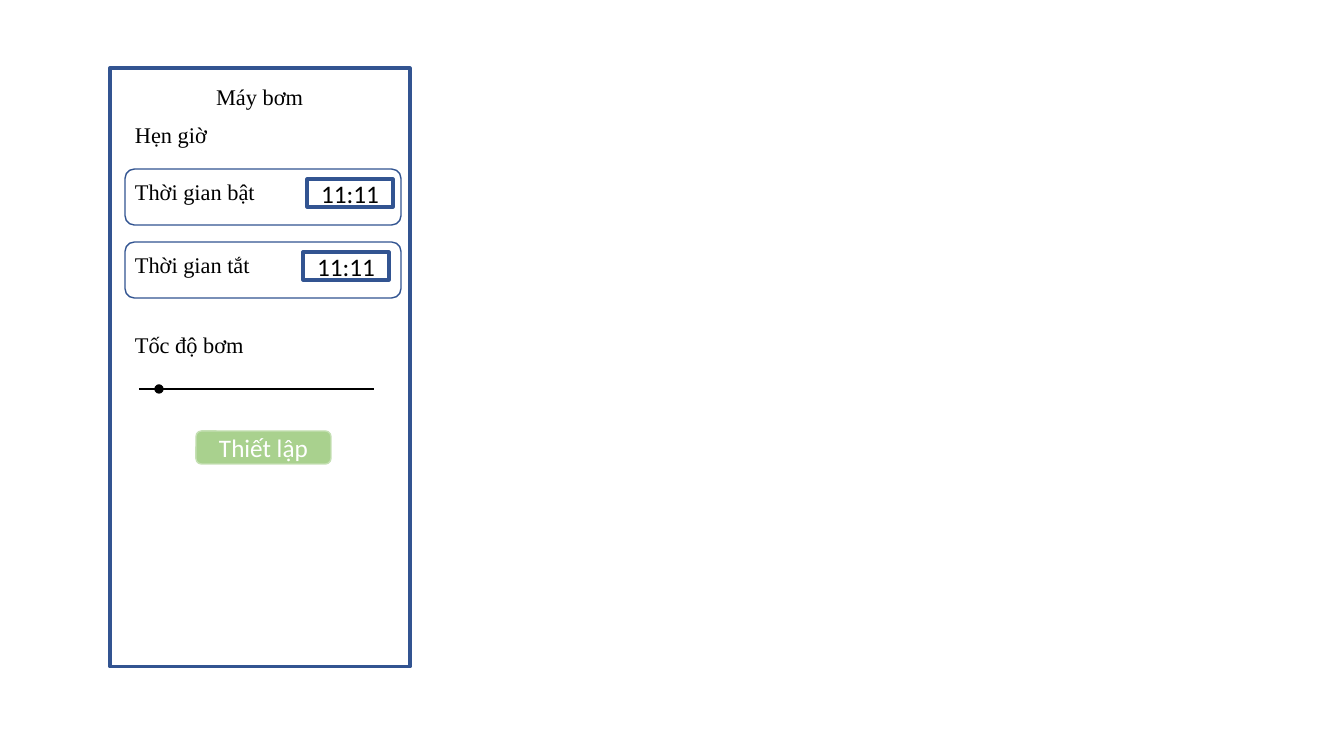
from pptx import Presentation
from pptx import util as u
from pptx.dml.color import RGBColor
from pptx.enum import shapes, text
from pptx.oxml.ns import qn
from lxml import etree

PX = 914400 / 100.8
SERIF, SANS = "Times New Roman", "Calibri"
BLUE, BLACK, WHITE = "325491", "000000", "FFFFFF"
RECT = shapes.MSO_SHAPE.RECTANGLE
ROUNDED = shapes.MSO_SHAPE.ROUNDED_RECTANGLE
OVAL = shapes.MSO_SHAPE.OVAL


def px(*lengths):
    return [u.Emu(round(length * PX)) for length in lengths]


def paint(colour_format, colour):
    colour_format.rgb = RGBColor.from_string(colour)


def write(holder, words, size, font, colour, align, anchor):
    frame = holder.text_frame
    frame.word_wrap = True
    frame.vertical_anchor = anchor
    paragraph = frame.paragraphs[0]
    paragraph.alignment = align
    run = paragraph.add_run()
    run.text = words
    run.font.size = u.Pt(size)
    run.font.name = font
    paint(run.font.color, colour)


def write_label(holder, words):
    write(holder, words, 16, SERIF, BLACK, text.PP_ALIGN.LEFT, text.MSO_ANCHOR.TOP)
    holder.text_frame.auto_size = text.MSO_AUTO_SIZE.SHAPE_TO_FIT_TEXT


def add_label(slide, words, left, top, width):
    write_label(slide.shapes.add_textbox(*px(left, top, width, 37)), words)


def add_box(slide, preset, box, line, weight, fill=None):
    shape = slide.shapes.add_shape(preset, *px(*box))
    shape.shadow.inherit = False
    if fill:
        shape.fill.solid()
        paint(shape.fill.fore_color, fill)
    else:
        shape.fill.background()
    paint(shape.line.color, line)
    shape.line.width = u.Pt(weight)
    return shape


def write_centred(shape, words, colour):
    write(shape, words, 18, SANS, colour, text.PP_ALIGN.CENTER, text.MSO_ANCHOR.MIDDLE)


def add_header(slide, left, top):
    title = slide.shapes.title
    title.left, title.top, title.width, title.height = px(left + 96, top + 10, 126, 37)
    write_label(title, "Máy bơm")
    add_label(slide, "Hẹn giờ", left + 15, top + 48, 98)


def add_timer(slide, words, time, time_offset, left, top):
    add_label(slide, words, left, top + 4, 143)
    time_field = add_box(slide, RECT, (left + time_offset, top + 10, 86, 28), BLUE, 2.25)
    write_centred(time_field, time, BLACK)
    add_box(slide, ROUNDED, (left, top, 276, 56), BLUE, 1)


def add_speed_slider(slide, left, top):
    track_y = top + 63
    track = slide.shapes.add_connector(
        shapes.MSO_CONNECTOR.STRAIGHT, *px(left + 14, track_y, left + 249, track_y))
    etree.SubElement(track.element.spPr, qn("a:effectLst"))
    paint(track.line.color, BLACK)
    track.line.width = u.Pt(1.5)
    add_box(slide, OVAL, (left + 30, track_y - 4, 8, 8), BLACK, 1, BLACK)
    add_label(slide, "Tốc độ bơm", left, top, 136)


def add_pump_screen(slide, left, top, width, height):
    add_box(slide, RECT, (left, top, width, height), BLUE, 2.25)
    add_header(slide, left, top)
    timers = [("Thời gian bật", 182), ("Thời gian tắt", 178)]
    for row, (words, time_offset) in enumerate(timers):
        add_timer(slide, words, "11:11", time_offset, left + 15, top + 101 + 73 * row)
    add_speed_slider(slide, left + 15, top + 258)
    button = add_box(slide, ROUNDED, (left + 86, top + 363, 135, 33), "C5E0B4", 1, "A9D18E")
    write_centred(button, "Thiết lập", WHITE)


def main():
    deck = Presentation()
    deck.slide_width, deck.slide_height = px(1344, 756)
    slide = deck.slides.add_slide(deck.slide_layouts[5])
    add_pump_screen(slide, 110, 68, 300, 599)
    deck.save("out.pptx")


if __name__ == "__main__":
    main()
